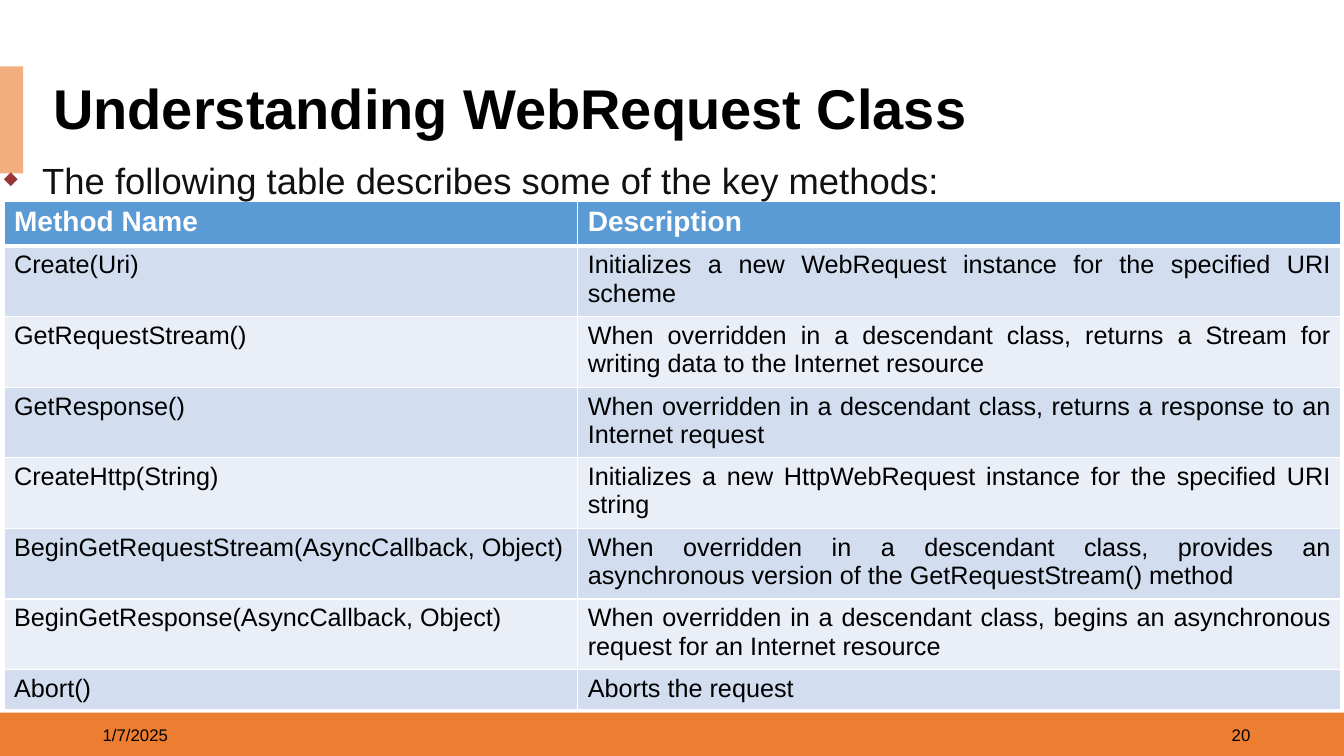
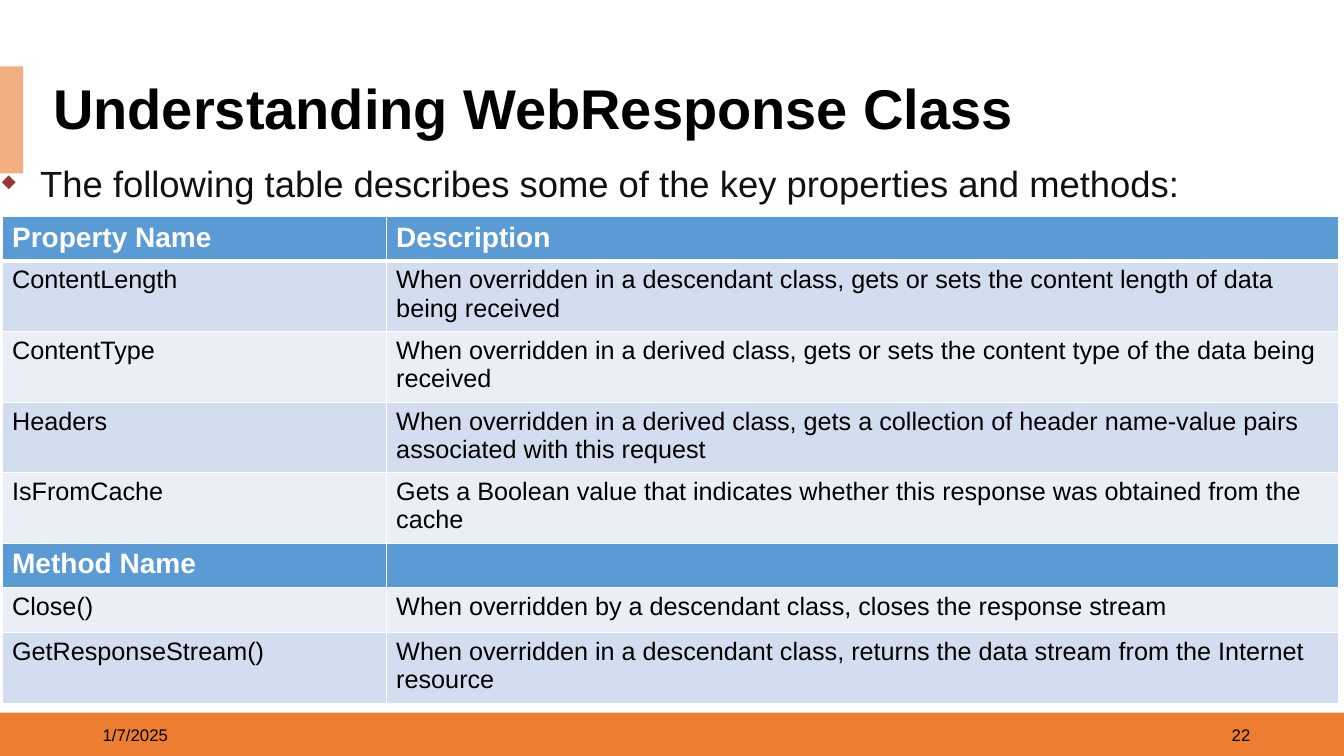
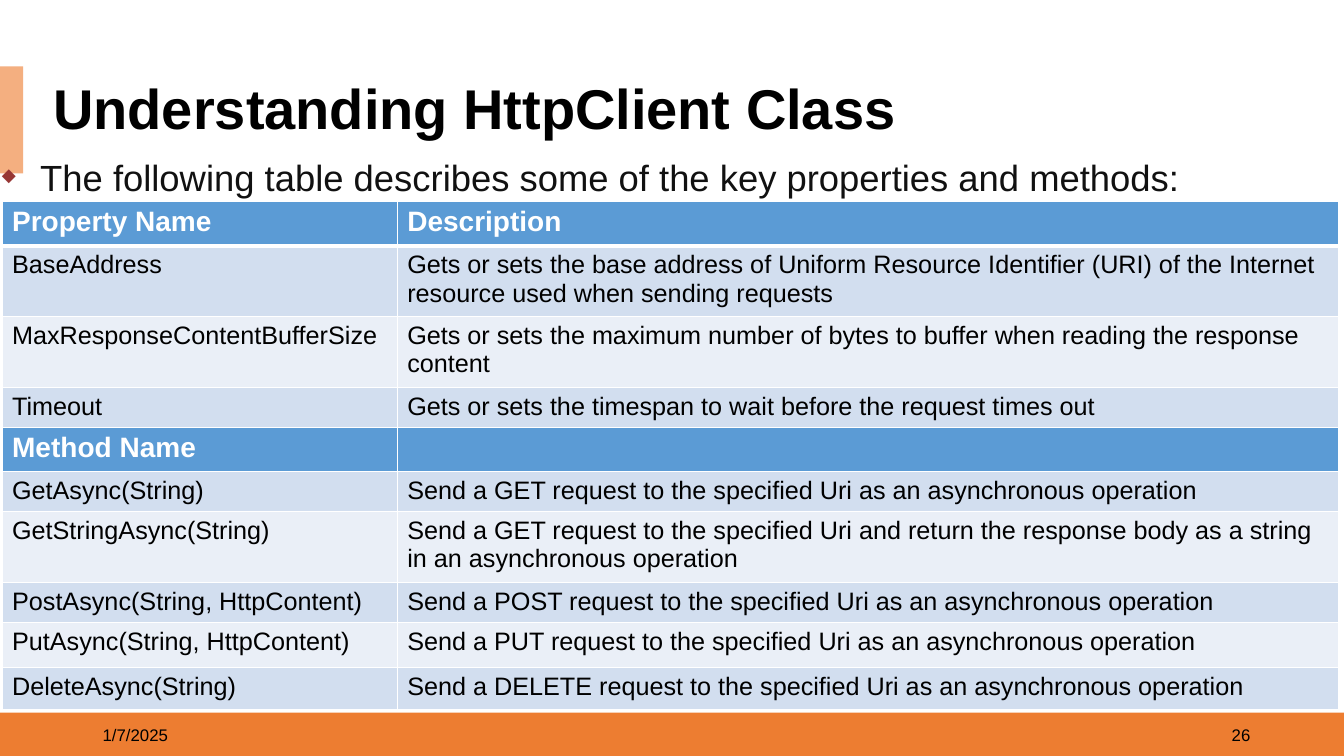
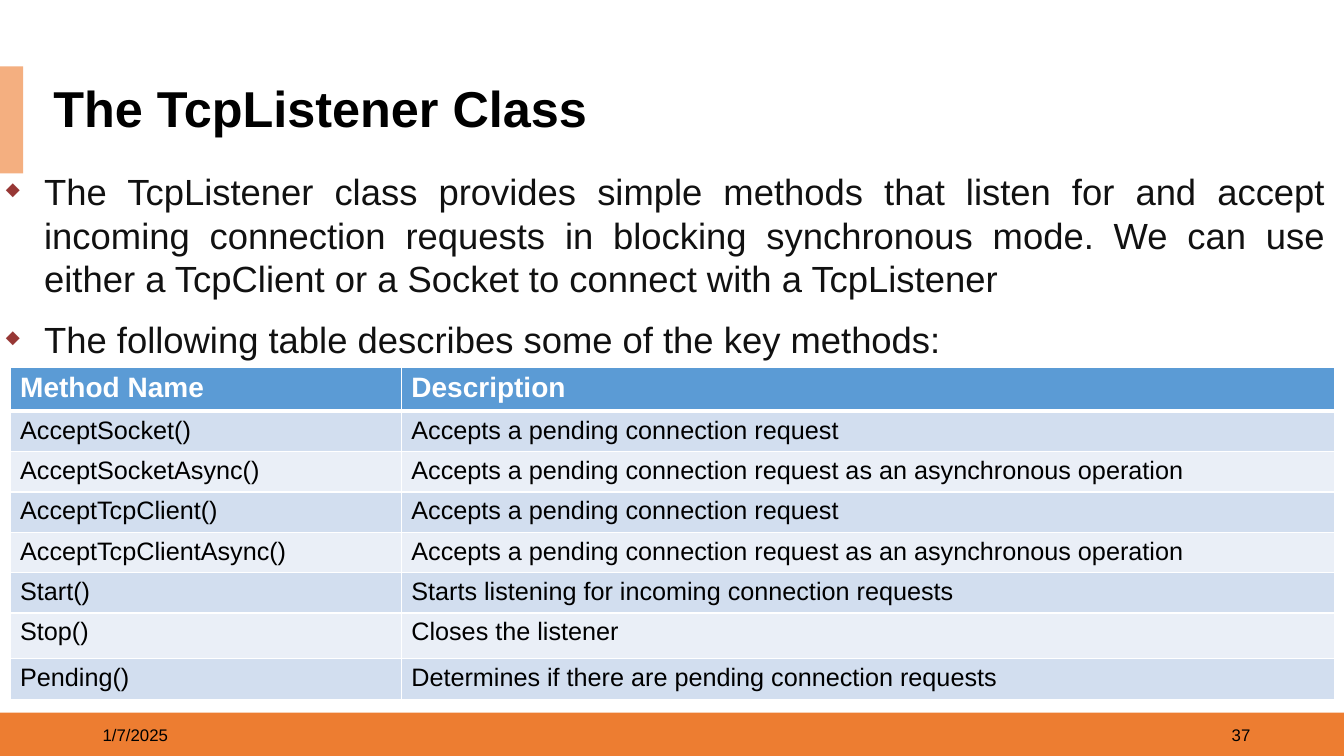
from lxml import etree
from pptx import Presentation
from pptx.dml.color import RGBColor
from pptx.enum import shapes, text
from pptx.oxml import ns
from pptx.util import Inches, Pt

BLACK = RGBColor(0x00, 0x00, 0x00)
WHITE = RGBColor(0xFF, 0xFF, 0xFF)
INK = RGBColor(0x11, 0x11, 0x11)
ORANGE = RGBColor(0xED, 0x7D, 0x31)
PEACH = RGBColor(0xF4, 0xAF, 0x80)
BLUE = RGBColor(0x5B, 0x9B, 0xD5)
BAND_DARK = RGBColor(0xD2, 0xDE, 0xEF)
BAND_LIGHT = RGBColor(0xEA, 0xEF, 0xF7)
BULLET_RED = RGBColor(0x97, 0x37, 0x35)

FONT = "Arial"
DATE = "1/7/2025"
LEFT, RIGHT, JUSTIFY = text.PP_ALIGN.LEFT, text.PP_ALIGN.RIGHT, text.PP_ALIGN.JUSTIFY
SECTION_NAMES = ("Property Name", "Method Name")

# Row heights in inches: heading, one line of text, two lines of text
HEAD, ONE, TWO = 0.44, 0.38, 0.66


def add_xml(parent, tag, **attributes):
    return etree.SubElement(parent, ns.qn(tag), **attributes)


class Deck:
    """Holds the shared style and the current slide."""

    def __init__(self):
        self.prs = Presentation()
        self.prs.slide_width, self.prs.slide_height = Inches(13.33), Inches(7.5)
        self.slide = None

    def new_slide(self, title, number, title_size=40):
        self.slide = self.prs.slides.add_slide(self.prs.slide_layouts[6])
        self.block(0, 7.07, 13.33, 0.44, ORANGE)
        self.block(0, 0.66, 0.23, 1.06, PEACH)
        self.label(DATE, 0.92, 7.09, 3, 0.4, 12)
        self.label(str(number), 9.5, 7.09, 3, 0.4, 12, align=RIGHT)
        heading = self.label(title, 0.43, 0.79, 12.78, 0.63, title_size, bold=True)
        heading.text_frame.paragraphs[0].line_spacing = 0.9

    def block(self, left, top, width, height, color):
        block = self.slide.shapes.add_shape(
            shapes.MSO_SHAPE.RECTANGLE,
            Inches(left), Inches(top), Inches(width), Inches(height))
        block.shadow.inherit = False
        block.fill.solid()
        block.fill.fore_color.rgb = color
        block.line.fill.background()

    def style(self, paragraph, size, color, bold=False, align=LEFT):
        paragraph.alignment = align
        for run in paragraph.runs:
            run.font.name, run.font.size = FONT, Pt(size)
            run.font.bold, run.font.color.rgb = bold, color

    def box(self, left, top, width, height):
        box = self.slide.shapes.add_textbox(
            Inches(left), Inches(top), Inches(width), Inches(height))
        box.text_frame.word_wrap = True
        return box

    def label(self, words, left, top, width, height, size, bold=False, align=LEFT):
        label = self.box(left, top, width, height)
        label.text_frame.vertical_anchor = text.MSO_ANCHOR.MIDDLE
        label.text_frame.text = words
        self.style(label.text_frame.paragraphs[0], size, BLACK, bold, align)
        return label

    def bullets(self, lines, left, top, width, height, before=10, after=0):
        frame = self.box(left, top, width, height).text_frame
        frame.text = "\n".join(lines)
        for paragraph in frame.paragraphs:
            self.style(paragraph, 26, INK, align=JUSTIFY)
            paragraph.space_before, paragraph.space_after = Pt(before), Pt(after)
            # Hanging diamond at half the text size
            props = paragraph._p.get_or_add_pPr()
            props.set("marL", str(Inches(0.38)))
            props.set("indent", str(Inches(-0.38)))
            color = add_xml(props, "a:buClr")
            add_xml(color, "a:srgbClr", val=str(BULLET_RED))
            add_xml(props, "a:buSzPct", val="50000")
            add_xml(props, "a:buChar", char="◆")

    def borders(self, cell, top, bottom):
        props = cell._tc.get_or_add_tcPr()
        sides = (("a:lnL", 1), ("a:lnR", 1), ("a:lnT", top), ("a:lnB", bottom))
        for index, (tag, width) in enumerate(sides):
            line = add_xml(props, tag, w=str(Pt(width)))
            fill = add_xml(line, "a:solidFill")
            add_xml(fill, "a:srgbClr", val=str(WHITE))
            props.insert(index, line)

    def table(self, left, top, widths, rows, align=LEFT):
        """Each row is its height, its name and its description."""
        grid = self.slide.shapes.add_table(
            len(rows), 2, Inches(left), Inches(top),
            Inches(sum(widths)), Inches(sum(row[0] for row in rows))).table
        for column, width in zip(grid.columns, widths):
            column.width = Inches(width)
        for index, (height, *words) in enumerate(rows):
            grid.rows[index].height = Inches(height)
            section = words[0] in SECTION_NAMES
            band = BLUE if section else BAND_DARK if index % 2 else BAND_LIGHT
            for cell, content in zip(grid.rows[index].cells, words):
                cell.text = content
                cell.fill.solid()
                cell.fill.fore_color.rgb = band
                self.borders(cell, 3 if index == 1 else 1, 3 if index == 0 else 1)
                paragraph = cell.text_frame.paragraphs[0]
                if section:
                    self.style(paragraph, 20, WHITE, bold=True)
                else:
                    self.style(paragraph, 18, BLACK, align=align)


def main():
    deck = Deck()
    methods_intro = "The following table describes some of the key methods:"
    members_intro = "The following table describes some of the key properties and methods:"

    # WebRequest
    deck.new_slide("Understanding WebRequest Class", 20)
    deck.table(0.04, 2, (5.69, 7.57), [
        (HEAD, "Method Name", "Description"),
        (TWO, "Create(Uri)",
         "Initializes a new WebRequest instance for the specified URI scheme"),
        (TWO, "GetRequestStream()",
         "When overridden in a descendant class, returns a Stream for "
         "writing data to the Internet resource"),
        (TWO, "GetResponse()",
         "When overridden in a descendant class, returns a response to an Internet request"),
        (TWO, "CreateHttp(String)",
         "Initializes a new HttpWebRequest instance for the specified URI string"),
        (TWO, "BeginGetRequestStream(AsyncCallback, Object)",
         "When overridden in a descendant class, provides an asynchronous "
         "version of the GetRequestStream() method"),
        (TWO, "BeginGetResponse(AsyncCallback, Object)",
         "When overridden in a descendant class, begins an asynchronous "
         "request for an Internet resource"),
        (ONE, "Abort()", "Aborts the request"),
    ], align=JUSTIFY)
    deck.bullets([methods_intro], -0.06, 1.52, 10.28, 0.54)

    # WebResponse
    deck.new_slide("Understanding WebResponse Class", 22)
    deck.table(0.02, 2.15, (3.81, 9.45), [
        (HEAD, "Property Name", "Description"),
        (TWO, "ContentLength",
         "When overridden in a descendant class, gets or sets the content "
         "length of data being received"),
        (TWO, "ContentType",
         "When overridden in a derived class, gets or sets the content type "
         "of the data being received"),
        (TWO, "Headers",
         "When overridden in a derived class, gets a collection of header "
         "name-value pairs associated with this request"),
        (TWO, "IsFromCache",
         "Gets a Boolean value that indicates whether this response was "
         "obtained from the cache"),
        (0.41, "Method Name", ""),
        (0.45, "Close()",
         "When overridden by a descendant class, closes the response stream"),
        (TWO, "GetResponseStream()",
         "When overridden in a descendant class, returns the data stream "
         "from the Internet resource"),
    ])
    deck.bullets([members_intro], -0.08, 1.55, 12.59, 0.54)

    # HttpClient
    deck.new_slide("Understanding HttpClient Class", 26)
    deck.table(0.02, 2, (3.92, 9.34), [
        (HEAD, "Property Name", "Description"),
        (TWO, "BaseAddress",
         "Gets or sets the base address of Uniform Resource Identifier (URI) "
         "of the Internet resource used when sending requests"),
        (TWO, "MaxResponseContentBufferSize",
         "Gets or sets the maximum number of bytes to buffer when reading "
         "the response content"),
        (ONE, "Timeout", "Gets or sets the timespan to wait before the request times out"),
        (0.41, "Method Name", ""),
        (0.4, "GetAsync(String)",
         "Send a GET request to the specified Uri as an asynchronous operation"),
        (TWO, "GetStringAsync(String)",
         "Send a GET request to the specified Uri and return the response "
         "body as a string in an asynchronous operation"),
        (0.4, "PostAsync(String, HttpContent)",
         "Send a POST request to the specified Uri as an asynchronous operation"),
        (0.45, "PutAsync(String, HttpContent)",
         "Send a PUT request to the specified Uri as an asynchronous operation"),
        (0.41, "DeleteAsync(String)",
         "Send a DELETE request to the specified Uri as an asynchronous operation"),
    ])
    deck.bullets([members_intro], -0.08, 1.49, 12.59, 0.54)

    # TcpListener
    deck.new_slide("The TcpListener Class", 37, title_size=36)
    deck.bullets([
        "The TcpListener class provides simple methods that listen for and accept "
        "incoming connection requests in blocking synchronous mode. We can use "
        "either a TcpClient or a Socket to connect with a TcpListener",
        methods_intro,
    ], -0.04, 1.63, 13.3, 2.02, before=6, after=6)
    accepts = "Accepts a pending connection request"
    accepts_async = accepts + " as an asynchronous operation"
    deck.table(0.1, 3.64, (3.88, 9.26), [
        (HEAD, "Method Name", "Description"),
        (0.4, "AcceptSocket()", accepts),
        (0.4, "AcceptSocketAsync()", accepts_async),
        (0.4, "AcceptTcpClient()", accepts),
        (0.4, "AcceptTcpClientAsync()", accepts_async),
        (0.4, "Start()", "Starts listening for incoming connection requests"),
        (0.45, "Stop()", "Closes the listener"),
        (0.41, "Pending()", "Determines if there are pending connection requests"),
    ])

    deck.prs.save("out.pptx")


if __name__ == "__main__":
    main()
